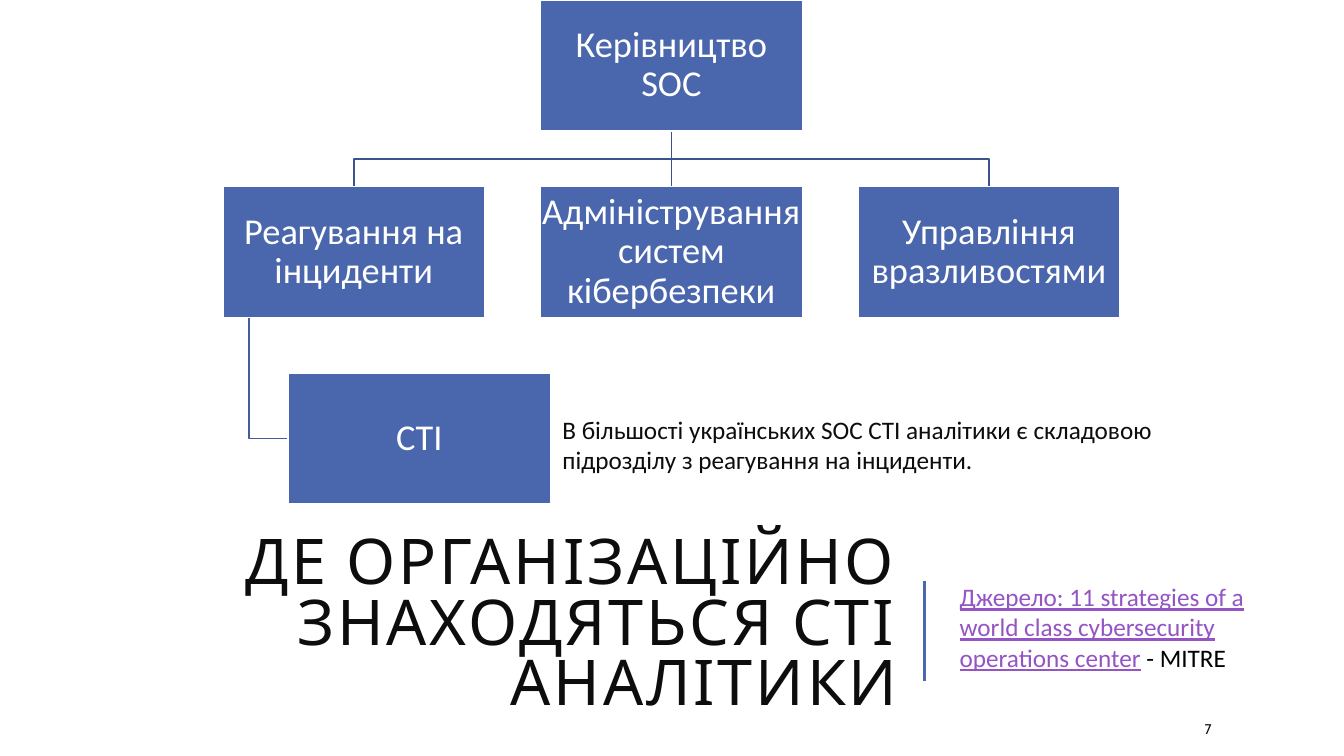
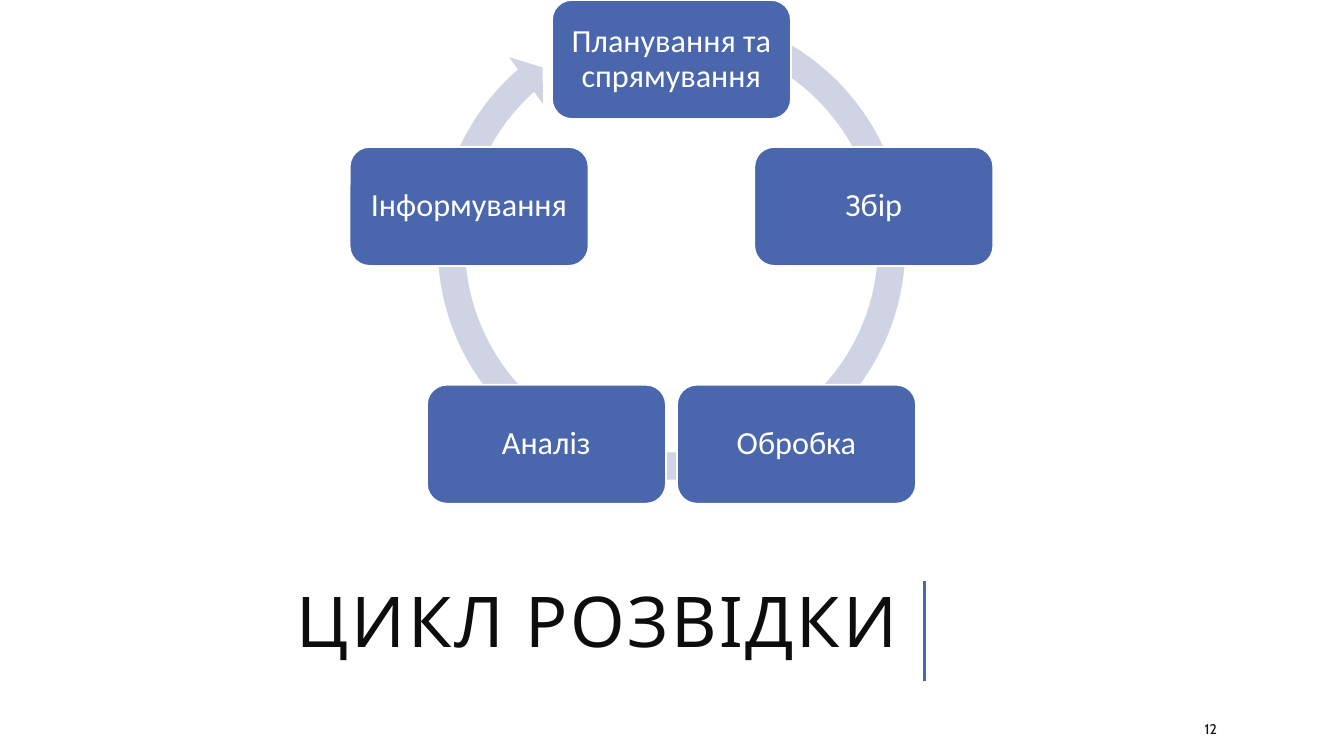
"""Build two slides on threat intelligence: the team chart and the cycle."""
from dataclasses import dataclass
from math import cos, pi, sin

from lxml import etree
from pptx import Presentation
from pptx.dml.color import RGBColor
from pptx.enum.shapes import MSO_CONNECTOR, MSO_SHAPE
from pptx.enum.text import MSO_ANCHOR, PP_ALIGN
from pptx.oxml.ns import qn
from pptx.util import Inches, Pt

STRAIGHT = MSO_CONNECTOR.STRAIGHT
RECT = MSO_SHAPE.RECTANGLE
ROUND = MSO_SHAPE.ROUNDED_RECTANGLE
ARROW = MSO_SHAPE.CIRCULAR_ARROW
MIDDLE = MSO_ANCHOR.MIDDLE
TOP = MSO_ANCHOR.TOP
LEFT = PP_ALIGN.LEFT
CENTER = PP_ALIGN.CENTER
RIGHT = PP_ALIGN.RIGHT


@dataclass(frozen=True)
class Theme:
    """Colours, fonts and type sizes."""
    blue: str = "4A66AC"
    branch: str = "3B528A"
    twig: str = "435D9C"
    pale: str = "D0D3E3"
    white: str = "FFFFFF"
    ink: str = "0D0D0D"
    black: str = "000000"
    link: str = "9454C3"
    head: str = "Cabin"
    body: str = "Calibri"
    long: int = 45
    short: int = 50
    note: int = 18
    page: int = 10
    chart: int = 26
    cycle: int = 23
    edge: float = 1.25
    rule: float = 1.5


THEME = Theme()


def tint(color):
    """Turn a hex code into a colour."""
    return RGBColor.from_string(color)


def style(run, size, color, face=THEME.body):
    """Format one run."""
    font = run.font
    font.size, font.name = Pt(size), face
    font.color.rgb = tint(color)


def setup(frame, anchor, inset=None):
    """Wrap a text frame, anchor it and set its insets."""
    frame.word_wrap = True
    frame.vertical_anchor = anchor
    if inset is not None:
        frame.margin_left = frame.margin_right = Inches(inset)
        frame.margin_top = frame.margin_bottom = Inches(inset)


def label(slide, at, text, size, color=THEME.ink, face=THEME.body,
          anchor=MIDDLE, align=LEFT):
    """Add a text box and return its paragraph."""
    frame = slide.shapes.add_textbox(*map(Inches, at)).text_frame
    setup(frame, anchor)
    para = frame.paragraphs[0]
    para.text = text
    para.alignment = align
    style(para.runs[0], size, color, face)
    return para


def box(slide, kind, at, text, size, inset):
    """Add a blue box with a centred label."""
    shape = slide.shapes.add_shape(kind, *map(Inches, at))
    shape.shadow.inherit = False
    shape.fill.solid()
    shape.fill.fore_color.rgb = tint(THEME.blue)
    shape.line.color.rgb = tint(THEME.white)
    shape.line.width = Pt(THEME.edge)
    setup(shape.text_frame, MIDDLE, inset)
    para = shape.text_frame.paragraphs[0]
    para.text = text
    para.alignment = CENTER
    para.line_spacing = 0.9
    style(para.runs[0], size, THEME.white)
    return shape


def line(slide, start, end, color, width):
    """Add a straight line."""
    link = slide.shapes.add_connector(STRAIGHT, *map(Inches, start + end))
    link.line.color.rgb = tint(color)
    link.line.width = Pt(width)
    etree.SubElement(link._element.spPr, qn("a:effectLst"))
    return link


def bend(slide, points, color):
    """Add an open line with square corners."""
    spots = [(Inches(x), Inches(y)) for x, y in points]
    build = slide.shapes.build_freeform(*spots[0])
    build.add_line_segments(spots[1:], close=False)
    shape = build.convert_to_shape()
    shape.shadow.inherit = False
    shape.fill.background()
    shape.line.color.rgb = tint(color)
    shape.line.width = Pt(THEME.edge)


def start(deck, title, size, page):
    """Add a slide with the shared title, rule and page number."""
    slide = deck.slides.add_slide(deck.slide_layouts[6])
    line(slide, (9.17, 6.76), (9.17, 5.76), THEME.blue, THEME.rule)
    para = label(slide, (0.5, 5.42, 8.5, 1.6), title, size,
                 face=THEME.head, align=RIGHT)
    para.line_spacing = 0.8
    para.runs[0]._r.get_or_add_rPr().set("spc", "200")
    label(slide, (11.85, 7.08, 1.06, 0.3), page, THEME.page, face=THEME.head)
    return slide


def chart(slide):
    """Draw the team chart."""
    wide, high, gap = 2.6, 1.3, 0.55
    left, mid = 2.21, 6.66
    row = high + gap
    step = wide + gap
    teams = ("Реагування на інциденти",
             "Адміністрування систем кібербезпеки",
             "Управління вразливостями")
    fork = high + gap / 2
    for end in (mid + step, mid - step):
        bend(slide, [(mid, high), (mid, fork), (end, fork), (end, row)],
             THEME.branch)
    stem = line(slide, (mid, high), (mid, row), THEME.branch, THEME.edge)
    side, sub = left + 0.26, left + 0.65
    low = 2 * row + high / 2
    bend(slide, [(side, row + high), (side, low), (sub, low)], THEME.twig)

    def node(x, y, text):
        """Add one unit of the chart."""
        return box(slide, RECT, (x, y, wide, high), text, THEME.chart, 0.01)

    boss = node(left + step, 0, "Керівництво SOC")
    units = [node(left + i * step, row, text) for i, text in enumerate(teams)]
    node(sub, 2 * row, "CTI")
    stem.begin_connect(boss, 2)
    stem.end_connect(units[1], 0)


def notes(slide):
    """Add the remark and the source."""
    label(slide, (5.48, 3.61, 7.04, 1.6),
          "В більшості українських SOC СТІ аналітики є складовою "
          "підрозділу з реагування на інциденти.", THEME.note)
    para = label(slide, (9.42, 5.72, 3.1, 1.01),
                 "Джерело: 11 strategies of a world class cybersecurity "
                 "operations center", THEME.note, THEME.link, anchor=TOP)
    para.runs[0].font.underline = True
    tail = para.add_run()
    tail.text = " - MITRE"
    style(tail, THEME.note, THEME.black)


def cycle(slide):
    """Draw the ring arrow and its five steps."""
    ring = slide.shapes.add_shape(
        ARROW, *map(Inches, (4.19, -0.03, 4.94, 4.94)))
    ring.shadow.inherit = False
    ring.fill.solid()
    ring.fill.fore_color.rgb = tint(THEME.pale)
    ring.line.fill.background()
    for i, value in enumerate((0.055, 3.307, 137.2, 174.2, 0.058)):
        ring.adjustments[i] = value
    wide, high, reach = 2.37, 1.18, 2.11
    steps = ("Планування та спрямування", "Збір", "Обробка", "Аналіз",
             "Інформування")
    for i, text in enumerate(steps):
        turn = 2 * pi * i / len(steps)
        x = 6.66 + reach * sin(turn) - wide / 2
        y = reach * (1 - cos(turn))
        box(slide, ROUND, (x, y, wide, high), text, THEME.cycle, 0.08)


def main():
    """Build and save the deck."""
    deck = Presentation()
    deck.slide_width, deck.slide_height = Inches(13.33), Inches(7.5)
    slide = start(deck, "ДЕ ОРГАНІЗАЦІЙНО ЗНАХОДЯТЬСЯ СТІ АНАЛІТИКИ",
                  THEME.long, "7")
    chart(slide)
    notes(slide)
    cycle(start(deck, "ЦИКЛ РОЗВІДКИ", THEME.short, "12"))
    deck.save("out.pptx")


if __name__ == "__main__":
    main()
